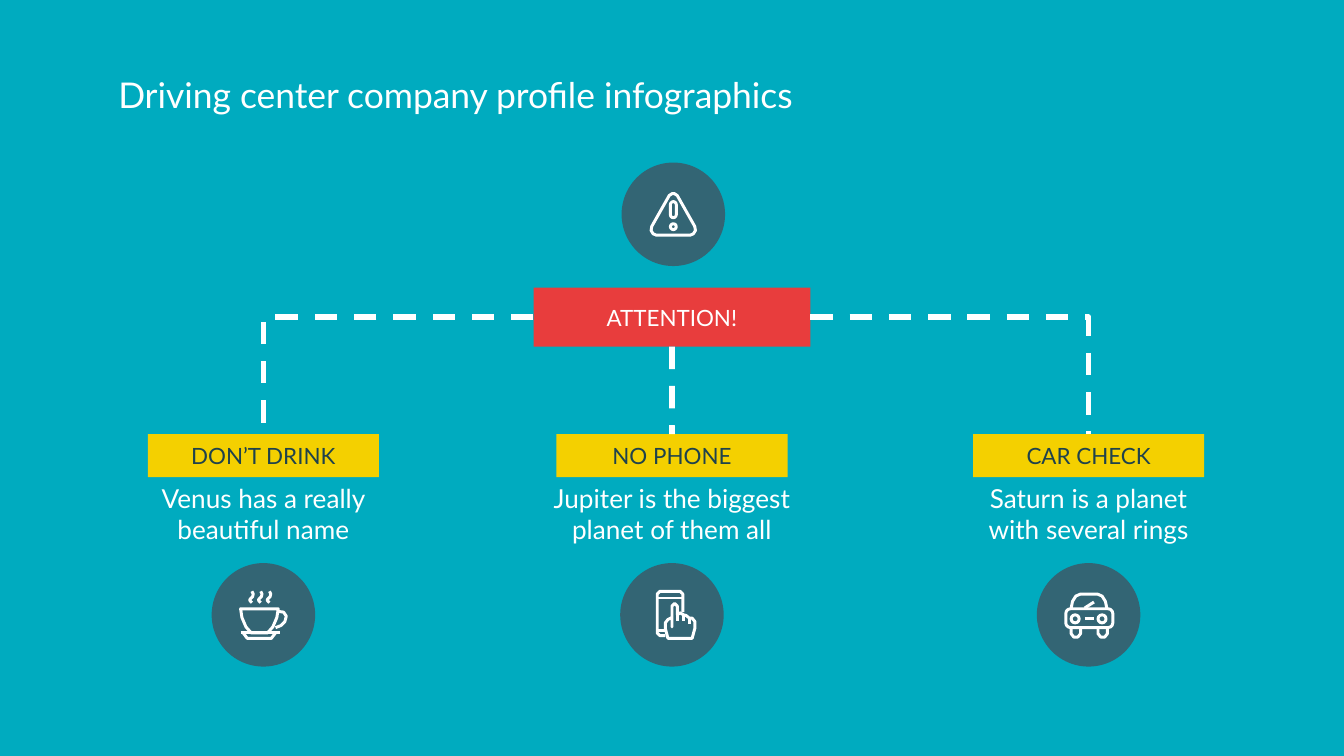
from lxml.etree import SubElement
from pptx import Presentation
from pptx.dml.color import RGBColor
from pptx.enum.dml import MSO_LINE_DASH_STYLE as Dash
from pptx.enum.shapes import MSO_CONNECTOR as Link, MSO_SHAPE as Kind
from pptx.enum.text import MSO_ANCHOR as Anchor, MSO_AUTO_SIZE as Fit, PP_ALIGN as Align
from pptx.oxml.ns import qn
from pptx.util import Inches, Pt

TEAL = RGBColor(0x00, 0xAB, 0xBF)
SLATE = RGBColor(0x33, 0x65, 0x74)
RED = RGBColor(0xE8, 0x3D, 0x3D)
GOLD = RGBColor(0xF4, 0xD0, 0x00)
DARK = RGBColor(0x1F, 0x42, 0x4C)
WHITE = RGBColor(0xFF, 0xFF, 0xFF)

TITLE = "Driving center company profile infographics"
ALERT = "ATTENTION!"
RULES = [
    ("DON’T DRINK", "Venus has a really beautiful name", "cup", 1.96, 2.03),
    ("NO PHONE", "Jupiter is the biggest planet of them all", "phone", 5, 2.24),
    ("CAR CHECK", "Saturn is a planet with several rings", "car", 8.1, 2.03),
]


def shift(pts, dx):
    return [(x + dx, y) for x, y in pts]


def mirror(pts):
    return pts + [(-x, y) for x, y in reversed(pts)]


STEAM = [(4.5, -17.5), (5.5, -15.5), (5, -13.5), (3, -11.5), (3, -10.5), (4.5, -9)]
WHEEL = [(-13, 10), (-13, 14), (-11, 16.5), (-8, 16.5), (-6, 14), (-6, 10)]
ICONS = {
    "cup": {
        "open": [shift(STEAM, dx) for dx in (-13, -6.5, 0)] + [
            [(11.5, -2.5), (15, -2), (17, 1), (16, 5), (13, 8), (9, 9.5)],
            [(-17, 13.5), (12, 13.5)],
            [(-15, 13.5), (-12, 17.5), (6, 17.5), (9, 13.5)]],
        "shut": [[(-17, -4.5), (11, -4.5), (10, 2), (7, 9), (3, 13.5),
                  (-9, 13.5), (-13, 9), (-16, 2)]],
    },
    "phone": {
        "open": [
            [(-5, 15.5), (-9, 15.5), (-11, 13.5), (-11, -15.5), (-9, -17.5),
             (6, -17.5), (8, -15.5), (8, -2)],
            [(-11, -12.5), (8, -12.5)], [(-11, 11.5), (-5, 11.5)],
            [(4, 0), (4, 4.5)], [(8.5, 0), (8.5, 4.5)], [(13, 2.5), (13, 6.5)]],
        "shut": [[(0, 9), (0, -6.5), (2, -8.5), (4, -6.5), (4, 0), (6, -1.5),
                  (8.5, 0), (10.5, 0.5), (13, 2.5), (15, 2.5), (17, 5), (17, 10),
                  (15, 17.5), (-3, 17.5), (-5, 10), (-5, 6), (-3, 3.5), (0, 2)]],
    },
    "car": {
        "open": [
            [(-13, -5), (-12, -10), (-9.5, -14), (-6, -15.5), (6.5, -15.5),
             (10, -14), (12.5, -10), (13.5, -5)],
            [(-3, -5), (4, -9.5)], [(-3, 3), (4, 3)], WHEEL, shift(WHEEL, 20)],
        "pill": [(-17, -4.5, 35, 14, 0.25)],
        "dot": [(-13, 0, 6, 6), (7, 0, 6, 6)],
    },
    "alert": {
        "shut": [mirror([(0.8, -15.5), (3, -14), (16, 9), (16.5, 12), (15, 14.5),
                         (12.5, 15.5)])],
        "pill": [(-2.2, -9.5, 4.4, 12, 0.5)],
        "dot": [(-2.2, 7, 4.4, 4.4)],
    },
}

deck = Presentation()
deck.slide_width, deck.slide_height = Inches(10), Inches(10 * 9 / 16)
slide = deck.slides.add_slide(deck.slide_layouts[5])
slide.background.fill.solid()
slide.background.fill.fore_color.rgb = TEAL
shapes = slide.shapes


def write(shape, text, size=12, color=WHITE, align=Align.CENTER, anchor=Anchor.MIDDLE):
    frame = shape.text_frame
    frame.word_wrap, frame.auto_size = True, Fit.NONE
    frame.vertical_anchor = anchor
    frame.margin_left = frame.margin_right = Inches(0.1)
    frame.margin_top = frame.margin_bottom = Inches(0.1)
    para = frame.paragraphs[0]
    para.alignment = align
    run = para.add_run()
    run.text = text
    run.font.size, run.font.name = Pt(size), "Lato"
    run.font.color.rgb = color


def solid(kind, x, y, w, h, color):
    shape = shapes.add_shape(kind, Inches(x - w / 2), Inches(y), Inches(w), Inches(h))
    shape.shadow.inherit = False
    shape.fill.solid()
    shape.fill.fore_color.rgb = color
    shape.line.fill.background()
    return shape


def stroke(shape):
    shape.shadow.inherit = False
    shape.fill.background()
    shape.line.color.rgb = WHITE
    shape.line.width = Pt(1.6)


def badge(name, x, y):
    solid(Kind.OVAL, x, y, 0.77, 0.77, SLATE)
    mid = y + 0.77 / 2

    def place(px, py):
        return Inches(x + px / 100), Inches(mid + py / 100)

    icon = ICONS[name]
    for key in ("open", "shut"):
        for pts in icon.get(key, []):
            first, *rest = [place(*pt) for pt in pts]
            pen = shapes.build_freeform(*first)
            pen.add_line_segments(rest, close=key == "shut")
            stroke(pen.convert_to_shape())
    for key, kind in (("pill", Kind.ROUNDED_RECTANGLE), ("dot", Kind.OVAL)):
        for px, py, w, h, *bend in icon.get(key, []):
            shape = shapes.add_shape(kind, *place(px, py), Inches(w / 100), Inches(h / 100))
            if bend:
                shape.adjustments[0] = bend[0]
            stroke(shape)


def join(start, side, end):
    straight = side == 2
    line = shapes.add_connector(Link.STRAIGHT if straight else Link.ELBOW, 0, 0, 0, 0)
    line.begin_connect(start, side)
    line.end_connect(end, 0)
    props = line._element.spPr
    if not straight:
        props.find(qn("a:prstGeom")).set("prst", "bentConnector2")
    line.line.color.rgb = WHITE
    line.line.width = Pt(3)
    line.line.dash_style = Dash.DASH
    SubElement(props, qn("a:effectLst"))


title = shapes.title
title.left, title.top = Inches(0.78), Inches(0.44)
title.width, title.height = Inches(8.44), Inches(0.63)
write(title, TITLE, size=19, align=Align.LEFT, anchor=Anchor.TOP)

badge("alert", 5.01, 1.21)
alert = solid(Kind.RECTANGLE, 5, 2.14, 2.06, 0.44, RED)
write(alert, ALERT)

for (head, body, icon, x, wide), side in zip(RULES, (1, 2, 3)):
    label = solid(Kind.RECTANGLE, x, 3.23, 1.72, 0.32, GOLD)
    write(label, head, color=DARK)
    note = shapes.add_textbox(Inches(x - wide / 2), Inches(3.64), Inches(wide), Inches(0.36))
    write(note, body, size=14)
    badge(icon, x, 4.19)
    join(alert, side, label)

deck.save("out.pptx")
